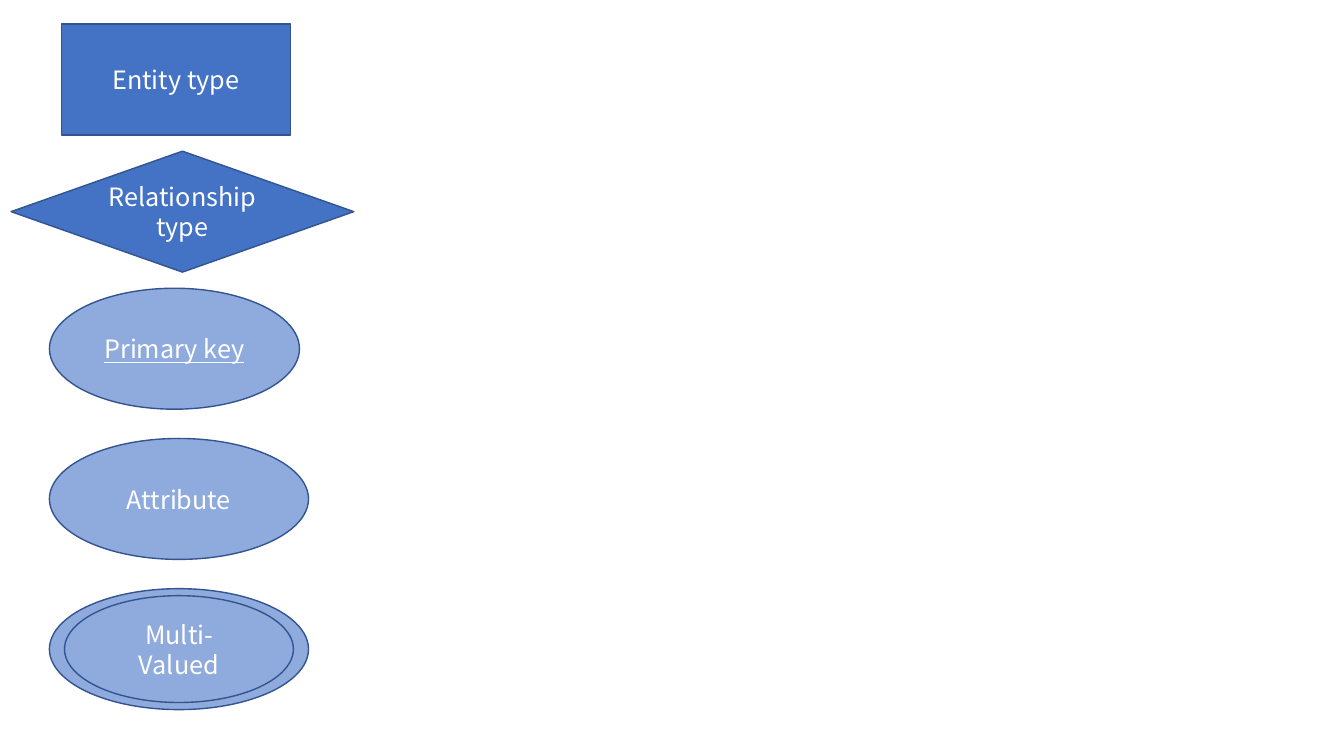
import pptx
import pptx.util
import pptx.dml.color
import pptx.enum.shapes
import pptx.enum.text

Inches = pptx.util.Inches
KINDS = pptx.enum.shapes.MSO_SHAPE

COLORS = {"strong": "4472C4", "soft": "8FAADC", "edge": "325491", "text": "FFFFFF"}
FONT = {"name": "Noto Sans CJK KR", "size": pptx.util.Pt(18)}

# text, kind, fill, left, top, width, height, extra font values
SYMBOLS = [
    ("Entity type", KINDS.RECTANGLE, "strong", 0.61, 0.24, 2.27, 1.1, {}),
    ("Primary key", KINDS.OVAL, "soft", 0.49, 2.86, 2.48, 1.2, {"underline": True}),
    ("Attribute", KINDS.OVAL, "soft", 0.49, 4.35, 2.57, 1.2, {}),
    ("Relationship type", KINDS.DIAMOND, "strong", 0.11, 1.5, 3.4, 1.2, {}),
]
MULTI = {"text": "Multi-Valued", "box": (0.49, 5.84, 2.57, 1.2), "inset": (0.15, 0.07)}


def color(name):
    return pptx.dml.color.RGBColor.from_string(COLORS[name])


def draw(shapes, text, kind, fill, left, top, width, height, extra):
    shape = shapes.add_shape(kind, *map(Inches, (left, top, width, height)))
    shape.shadow.inherit = False
    shape.fill.solid()
    shape.fill.fore_color.rgb = color(fill)
    shape.line.color.rgb = color("edge")
    shape.line.width = pptx.util.Pt(1)
    if not text:
        return
    frame = shape.text_frame
    frame.word_wrap = True
    frame.vertical_anchor = pptx.enum.text.MSO_ANCHOR.MIDDLE
    line = frame.paragraphs[0]
    line.alignment = pptx.enum.text.PP_ALIGN.CENTER
    run = line.add_run()
    run.text = text
    for key, value in {**FONT, **extra}.items():
        setattr(run.font, key, value)
    run.font.color.rgb = color("text")


def draw_multi(slide):
    """Draw the double ellipse as one group, the inner one inset evenly."""
    group = slide.shapes.add_group_shape()
    left, top, width, height = MULTI["box"]
    dx, dy = MULTI["inset"]
    inner = (left + dx, top + dy, width - 2 * dx, height - 2 * dy)
    for text, box in (("", MULTI["box"]), (MULTI["text"], inner)):
        draw(group.shapes, text, KINDS.OVAL, "soft", *box, {})


def main():
    deck = pptx.Presentation()
    deck.slide_width, deck.slide_height = Inches(13.33), Inches(7.5)
    slide = deck.slides.add_slide(deck.slide_layouts[6])
    for symbol in SYMBOLS:
        draw(slide.shapes, *symbol)
    draw_multi(slide)
    deck.save("out.pptx")


if __name__ == "__main__":
    main()
